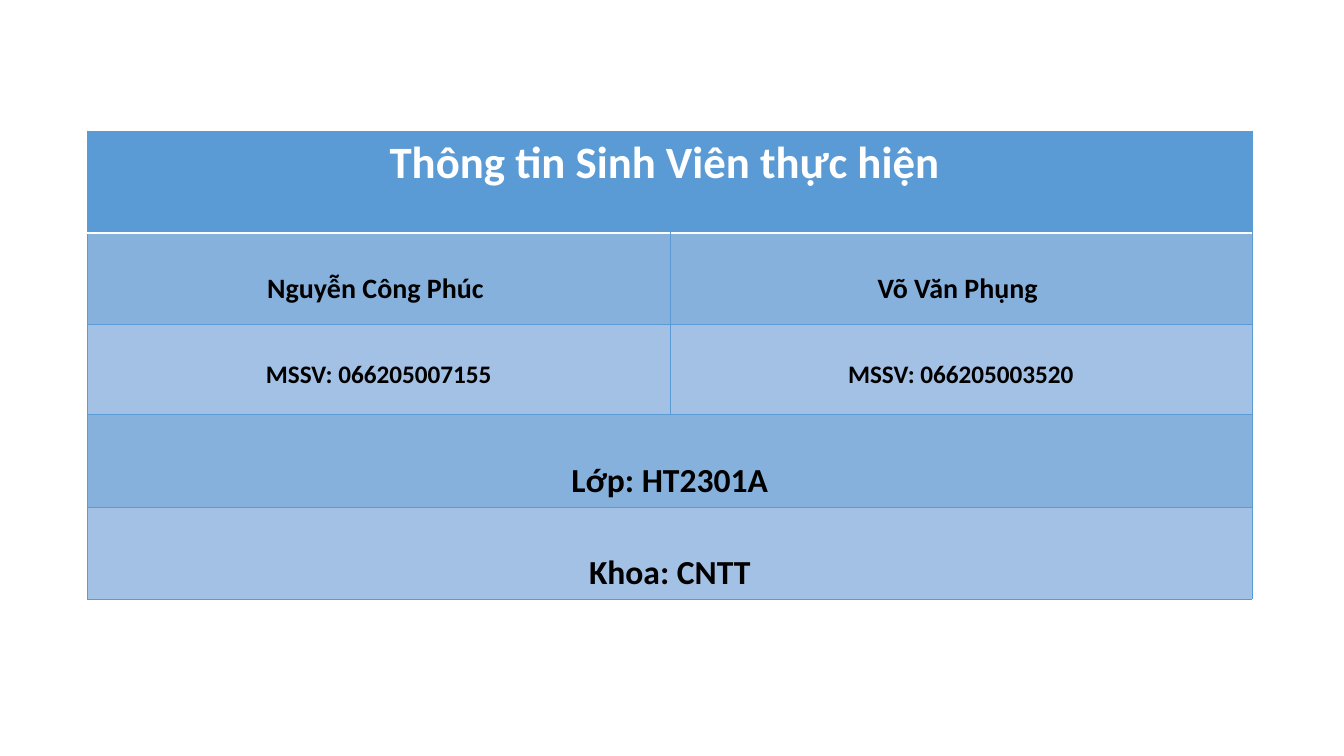
from dataclasses import dataclass

from lxml.etree import SubElement
from pptx import Presentation
from pptx.dml.color import RGBColor as RGB
from pptx.enum.text import MSO_ANCHOR as ANCHOR, PP_ALIGN as ALIGN
from pptx.oxml.ns import qn
from pptx.util import Cm, Pt


@dataclass(frozen=True)
class Theme:
    font: str = "Calibri"
    accent: str = "5B9BD5"
    band_dark: str = "86B1DD"
    band_light: str = "A3C0E5"
    white: str = "FFFFFF"
    black: str = "000000"
    title: int = 32
    name: int = 20
    number: int = 18
    group: int = 24
    thin: float = 0.5
    thick: float = 1


THEME = Theme()
COLUMN_SHARES = (0.5, 0.5)
ROW_HEIGHTS = (2.57, 2.29, 2.29, 2.29, 2.29)
STUDENT_ROWS = [
    (("Thông tin Sinh Viên thực hiện ",), THEME.title),
    (("Nguyễn Công Phúc ", "Võ Văn Phụng "), THEME.name),
    (("MSSV: 066205007155", "MSSV: 066205003520"), THEME.number),
    (("Lớp: HT2301A",), THEME.group),
    (("Khoa: CNTT",), THEME.group),
]


def set_format(target, values):
    for name, value in values.items():
        setattr(target, name, value)


def set_borders(cell, row):
    tcPr = cell._tc.get_or_add_tcPr()
    header_edge = {0: "lnB", 1: "lnT"}.get(row)
    for side in ("lnL", "lnR", "lnT", "lnB"):
        color, width = (THEME.white, THEME.thick) if side == header_edge else (THEME.accent, THEME.thin)
        line = SubElement(tcPr, qn(f"a:{side}"), w=str(Pt(width)))
        fill = SubElement(line, qn("a:solidFill"))
        SubElement(fill, qn("a:srgbClr"), val=color)


def style_cell(cell, row):
    set_borders(cell, row)
    band = THEME.band_dark if row % 2 else THEME.band_light
    cell.fill.solid()
    cell.fill.fore_color.rgb = RGB.from_string(band if row else THEME.accent)
    cell.vertical_anchor = ANCHOR.TOP


def write_cell(cell, text, size, row):
    p = cell.text_frame.paragraphs[0]
    set_format(p, {"alignment": ALIGN.CENTER, "line_spacing": 2.0 if row else 1.0})
    r = p.add_run()
    r.text = text
    set_format(r.font, {"name": THEME.font, "size": Pt(size), "bold": True})
    r.font.color.rgb = RGB.from_string(THEME.black if row else THEME.white)


def add_student_table(s, left, top, width):
    height = Cm(sum(ROW_HEIGHTS))
    frame = s.shapes.add_table(len(STUDENT_ROWS), len(COLUMN_SHARES), left, top, width, height)
    table = frame.table
    set_format(table, {"first_row": True, "horz_banding": False})
    for column, share in zip(table.columns, COLUMN_SHARES):
        column.width = int(width * share)
    for row, (texts, size) in enumerate(STUDENT_ROWS):
        table.rows[row].height = Cm(ROW_HEIGHTS[row])
        cells = list(table.rows[row].cells)
        for cell in cells:
            style_cell(cell, row)
        if len(texts) == 1:
            cells[0].merge(cells[-1])
        for cell, text in zip(cells, texts):
            write_cell(cell, text, size, row)


def main():
    prs = Presentation()
    set_format(prs, {"slide_width": Cm(33.87), "slide_height": Cm(19.05)})
    s = prs.slides.add_slide(prs.slide_layouts[6])
    add_student_table(s, Cm(2.21), Cm(3.3), Cm(29.34))
    prs.save("out.pptx")


if __name__ == "__main__":
    main()
